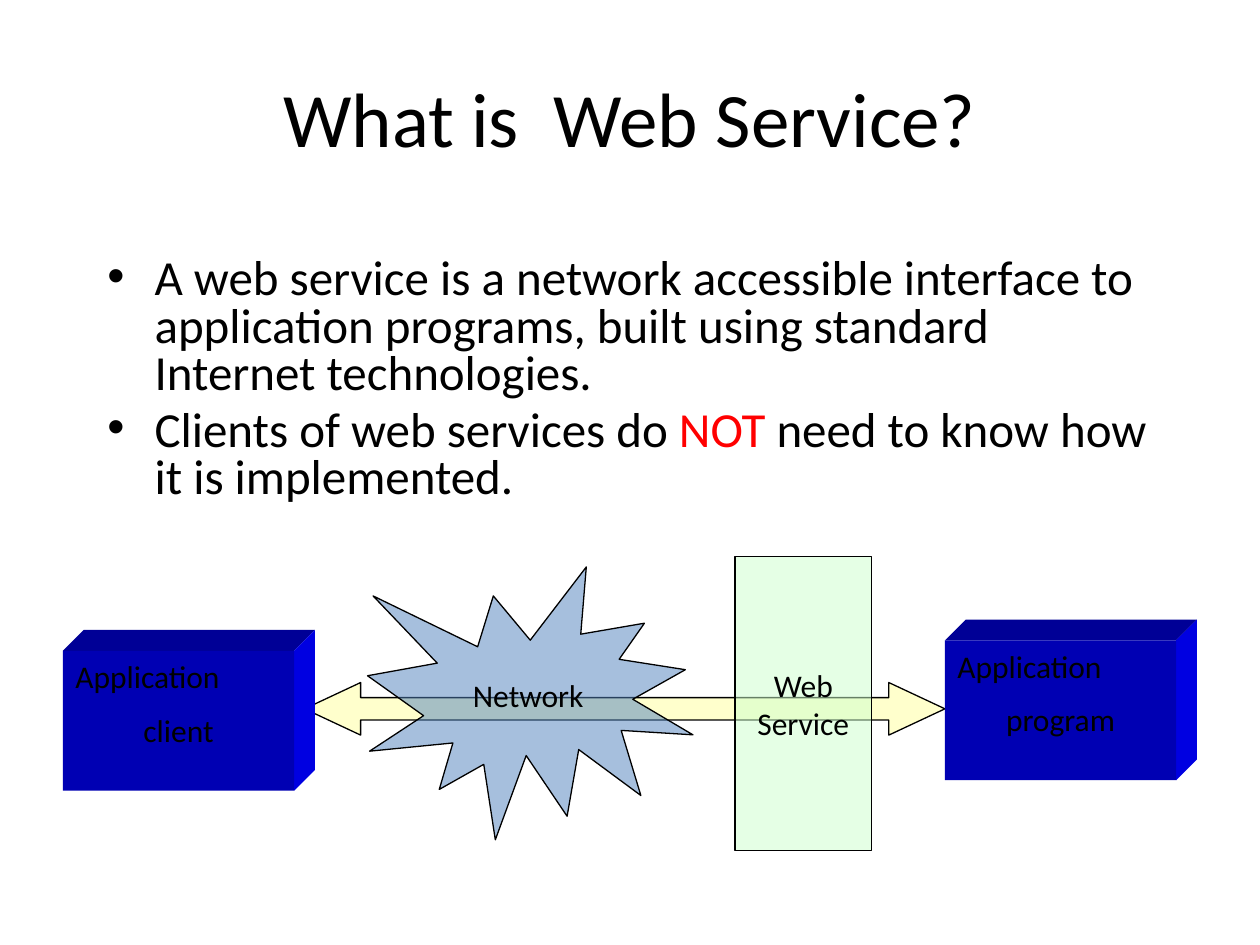
from dataclasses import dataclass
from typing import Optional

from lxml.etree import SubElement
from pptx import Presentation
from pptx.dml.color import RGBColor
from pptx.enum.shapes import MSO_SHAPE
from pptx.enum.text import MSO_ANCHOR, MSO_AUTO_SIZE, PP_ALIGN
from pptx.oxml.ns import qn
from pptx.util import Cm, Pt


@dataclass(frozen=True)
class Theme:
    font: str = "Calibri"
    title_size: float = 44
    body_size: float = 28
    label_size: float = 18
    text: str = "000000"
    accent: str = "FF0000"
    outline: str = "000000"
    arrow: str = "FFFFCC"
    network: str = "4F81BD"
    service: str = "CCFFCC"
    block_front: str = "0000B3"
    block_top: str = "000096"
    block_side: str = "0000E1"


@dataclass(frozen=True)
class Area:
    """A rectangle in centimetres."""
    left: float
    top: float
    width: float
    height: float

    def lengths(self) -> tuple:
        return Cm(self.left), Cm(self.top), Cm(self.width), Cm(self.height)


@dataclass(frozen=True)
class Figure:
    kind: MSO_SHAPE
    area: Area
    fill: str
    lines: tuple = ()
    opacity: Optional[int] = None
    adjustments: tuple = ()


@dataclass(frozen=True)
class Block:
    area: Area
    lines: tuple


THEME = Theme()
BLOCK_DEPTH = 0.42

ARROW = Figure(MSO_SHAPE.LEFT_RIGHT_ARROW, Area(6.14, 13.76, 12.91, 1.06),
               THEME.arrow, adjustments=(0.425, 1.067))
BLOCKS = (
    Block(Area(1.27, 13.12, 4.66, 2.82), ("Application", "client")),
    Block(Area(19.05, 12.91, 4.66, 2.82), ("Application", "program")),
)
OVERLAYS = (
    Figure(MSO_SHAPE.EXPLOSION1, Area(7.41, 11.43, 6.56, 5.5),
           THEME.network, ("Network",), 50),
    Figure(MSO_SHAPE.RECTANGLE, Area(14.82, 11.22, 2.75, 5.93),
           THEME.service, ("Web", "Service"), 50),
)
TITLE = "What is  Web Service?"
BULLETS = (
    (("A web service is a network accessible interface to application "
      "programs, built using standard Internet technologies.", THEME.text),),
    (("Clients of web services do ", THEME.text), ("NOT", THEME.accent),
     (" need to know how it is implemented.", THEME.text)),
)


def apply(target, formats: dict) -> None:
    for name, value in formats.items():
        setattr(target, name, value)


def add_span(para, text: str, size: float, color: str = THEME.text) -> None:
    span = para.add_run()
    span.text = text
    apply(span.font, {"name": THEME.font, "size": Pt(size)})
    span.font.color.rgb = RGBColor.from_string(color)


def next_para(frame, index: int):
    return frame.paragraphs[0] if index == 0 else frame.add_paragraph()


def place(box, area: Area) -> None:
    apply(box, dict(zip(("left", "top", "width", "height"), area.lengths())))


def paint(box, fill: str, outlined: bool, opacity: Optional[int] = None) -> None:
    box.shadow.inherit = False
    box.fill.solid()
    box.fill.fore_color.rgb = RGBColor.from_string(fill)
    if opacity is not None:
        color = box.fill._xPr.find(f"{qn('a:solidFill')}/{qn('a:srgbClr')}")
        SubElement(color, qn("a:alpha"), val=str(opacity * 1000))
    if outlined:
        box.line.color.rgb = RGBColor.from_string(THEME.outline)
        box.line.width = Pt(0.75)
    else:
        box.line.fill.background()


def draw_figure(page, figure: Figure) -> None:
    box = page.shapes.add_shape(figure.kind, *figure.area.lengths())
    for index, value in enumerate(figure.adjustments):
        box.adjustments[index] = value
    paint(box, figure.fill, True, figure.opacity)
    apply(box.text_frame, {"word_wrap": False, "vertical_anchor": MSO_ANCHOR.MIDDLE})
    for index, line in enumerate(figure.lines):
        para = next_para(box.text_frame, index)
        para.alignment = PP_ALIGN.CENTER
        add_span(para, line, THEME.label_size)


def draw_face(page, points: list, fill: str) -> None:
    corners = [(Cm(x), Cm(y)) for x, y in points]
    builder = page.shapes.build_freeform(*corners[0])
    builder.add_line_segments(corners[1:], close=True)
    paint(builder.convert_to_shape(), fill, False)


def draw_block(page, block: Block) -> None:
    """Draw a labelled front face with its top and right sides receding."""
    area, depth = block.area, BLOCK_DEPTH
    left, top = area.left, area.top
    right, bottom = left + area.width, top + area.height
    draw_face(page, [(left, top), (left + depth, top - depth),
                     (right + depth, top - depth), (right, top)], THEME.block_top)
    draw_face(page, [(right, top), (right + depth, top - depth),
                     (right + depth, bottom - depth), (right, bottom)],
              THEME.block_side)
    front = page.shapes.add_shape(MSO_SHAPE.RECTANGLE, *area.lengths())
    paint(front, THEME.block_front, False)
    apply(front.text_frame, {"word_wrap": True, "vertical_anchor": MSO_ANCHOR.TOP})
    for index, line in enumerate(block.lines):
        para = next_para(front.text_frame, index)
        apply(para, {"alignment": PP_ALIGN.CENTER if index else PP_ALIGN.LEFT,
                     "space_before": Pt(9)})
        add_span(para, line, THEME.label_size)


def write_title(page) -> None:
    box = page.shapes.title
    place(box, Area(1.27, 0.76, 22.86, 3.18))
    box.text_frame.vertical_anchor = MSO_ANCHOR.MIDDLE
    para = box.text_frame.paragraphs[0]
    para.alignment = PP_ALIGN.CENTER
    add_span(para, TITLE, THEME.title_size)


def write_bullets(page) -> None:
    box = page.placeholders[1]
    place(box, Area(1.91, 5.08, 21.59, 5.51))
    box.text_frame.auto_size = MSO_AUTO_SIZE.NONE
    for index, spans in enumerate(BULLETS):
        para = next_para(box.text_frame, index)
        apply(para, {"line_spacing": 0.8, "space_before": Pt(5.6)})
        for text, color in spans:
            add_span(para, text, THEME.body_size, color)


def main() -> None:
    deck = Presentation()
    apply(deck, {"slide_width": Cm(25.4), "slide_height": Cm(19.05)})
    page = deck.slides.add_slide(deck.slide_layouts[1])
    write_title(page)
    write_bullets(page)
    draw_figure(page, ARROW)
    for block in BLOCKS:
        draw_block(page, block)
    for figure in OVERLAYS:
        draw_figure(page, figure)
    deck.save("out.pptx")


if __name__ == "__main__":
    main()
